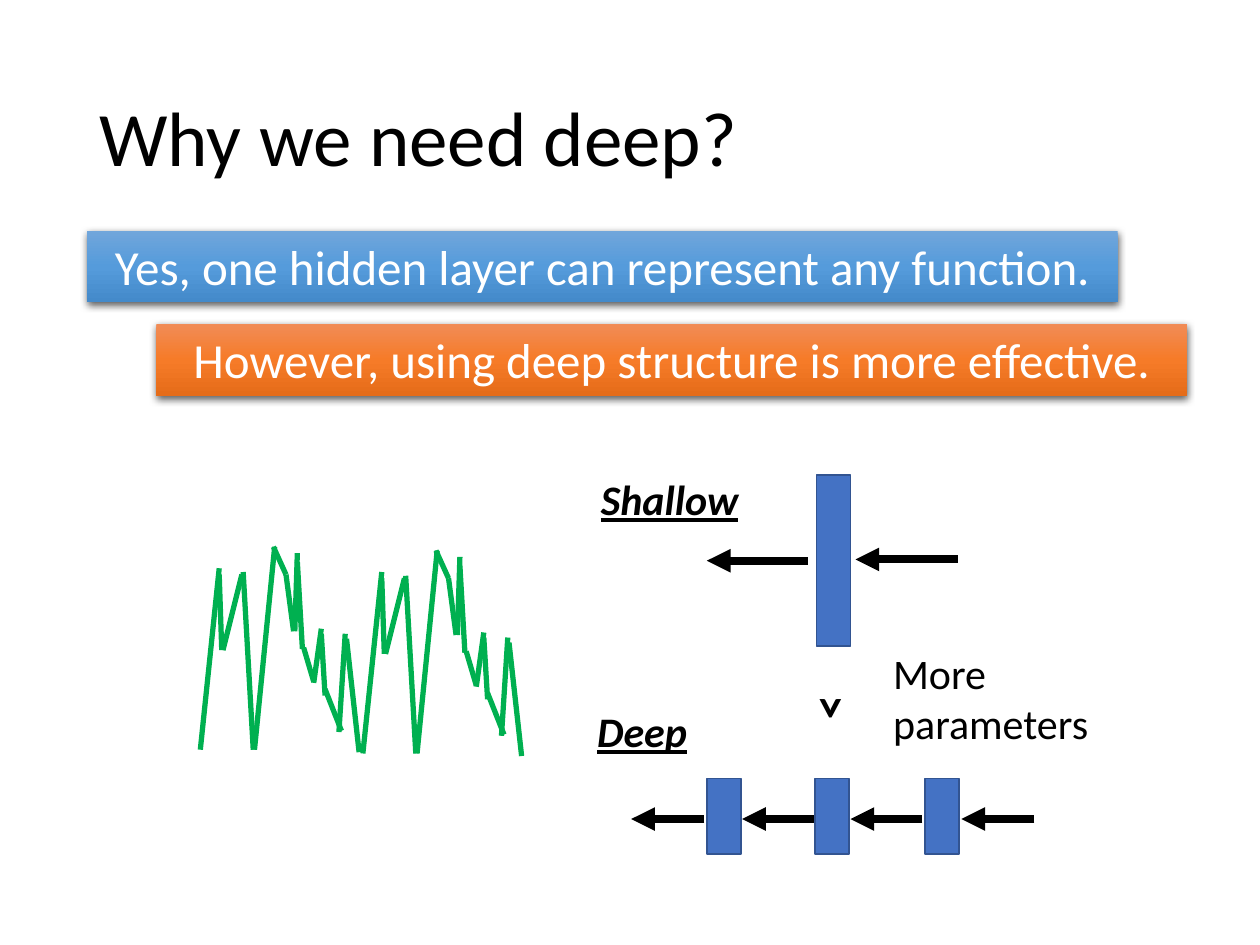
from copy import deepcopy
from typing import NamedTuple

from lxml.etree import SubElement
from pptx import Presentation
from pptx.dml.color import RGBColor
from pptx.enum.shapes import MSO_CONNECTOR, MSO_SHAPE
from pptx.enum.text import MSO_ANCHOR, PP_ALIGN
from pptx.oxml.ns import qn
from pptx.util import Inches, Pt

COLORS = {
    "text": "000000",
    "light": "FFFFFF",
    "layer": "4472C4",
    "layer_edge": "325491",
    "arrow": "000000",
    "wave": "00B050",
    "shadow": "000000",
}
BLUE_BAND = ("71A6DB", "559BDB", "448ACA")
ORANGE_BAND = ("F18C57", "F67B28", "E56C19")


class Area(NamedTuple):
    left: float
    top: float
    width: float
    height: float


class Segment(NamedTuple):
    x1: float
    y1: float
    x2: float
    y2: float


class Band(NamedTuple):
    area: Area
    text: str
    gradient: tuple[str, str, str]


BANDS = [
    Band(Area(0.69, 1.83, 8.18, 0.57),
         "Yes, one hidden layer can represent any function.", BLUE_BAND),
    Band(Area(1.24, 2.57, 8.18, 0.57),
         "However, using deep structure is more effective.", ORANGE_BAND),
]
LAYERS = [Area(6.48, 3.77, 0.27, 1.36)] + [
    Area(left, 6.18, 0.27, 0.6) for left in (5.61, 6.47, 7.34)
]
ARROWS = [Segment(6.41, 4.45, 5.61, 4.45), Segment(7.6, 4.44, 6.79, 4.44)] + [
    Segment(start, 6.5, end, 6.5)
    for start, end in ((5.59, 5.01), (6.46, 5.89), (7.32, 6.75), (8.21, 7.63))
]
WAVE = [
    Segment(1.59, 5.95, 1.74, 4.51),
    Segment(1.76, 5.16, 1.74, 4.56),
    Segment(1.77, 5.16, 1.92, 4.56),
    Segment(2.01, 5.95, 1.93, 4.54),
    Segment(2.02, 5.95, 2.18, 4.34),
    Segment(2.27, 4.56, 2.17, 4.34),
    Segment(2.33, 5.01, 2.27, 4.56),
    Segment(2.34, 5.01, 2.36, 4.39),
    Segment(2.4, 5.15, 2.36, 4.46),
    Segment(2.49, 5.41, 2.41, 5.14),
    Segment(2.55, 4.99, 2.49, 5.42),
    Segment(2.55, 5.03, 2.58, 5.52),
    Segment(2.58, 5.47, 2.71, 5.8),
    Segment(2.69, 5.81, 2.74, 5.03),
    Segment(2.85, 5.97, 2.75, 5.07),
]
WAVE_OFFSETS = [(0, 0), (1.29, 0.03)]


def color(name: str) -> RGBColor:
    return RGBColor.from_string(COLORS[name])


def place(area: Area) -> list[Inches]:
    return [Inches(value) for value in area]


def write(box, text: str, *, size: float, ink: str = "text", bold: bool = False,
          italic: bool = False, underline: bool = False, align=PP_ALIGN.LEFT,
          anchor=MSO_ANCHOR.TOP, spacing: float = 1.0) -> None:
    frame = box.text_frame
    frame.word_wrap = True
    frame.vertical_anchor = anchor
    para = frame.paragraphs[0]
    para.alignment = align
    para.line_spacing = spacing
    span = para.add_run()
    span.text = text
    font = span.font
    font.name = "Calibri"
    font.size = Pt(size)
    font.bold, font.italic, font.underline = bold, italic, underline
    font.color.rgb = color(ink)


def add_text(page, area: Area, text: str, *, rotation: float = 0, **style) -> None:
    box = page.shapes.add_textbox(*place(area))
    box.rotation = rotation
    write(box, text, **style)


def add_line(page, segment: Segment, *, ink: str, width: float,
             arrow: bool = False) -> None:
    line = page.shapes.add_connector(
        MSO_CONNECTOR.STRAIGHT, *[Inches(value) for value in segment])
    line.line.color.rgb = color(ink)
    line.line.width = Pt(width)
    properties = line._element.spPr
    if arrow:
        SubElement(properties.find(qn("a:ln")), qn("a:tailEnd"), type="triangle")
    SubElement(properties, qn("a:effectLst"))


def add_layer(page, area: Area) -> None:
    layer = page.shapes.add_shape(MSO_SHAPE.RECTANGLE, *place(area))
    layer.shadow.inherit = False
    layer.fill.solid()
    layer.fill.fore_color.rgb = color("layer")
    layer.line.color.rgb = color("layer_edge")
    layer.line.width = Pt(1)


def fill_downward(shape, stops: tuple[str, str, str]) -> None:
    """Fill with a three-stop gradient running from top to bottom."""
    shape.fill.gradient()
    shape.fill.gradient_angle = 270
    first = shape._element.spPr.find(".//" + qn("a:gs"))
    first.addnext(deepcopy(first))
    for stop, position, value in zip(shape.fill.gradient_stops, (0, 0.5, 1), stops):
        stop.position = position
        stop.color.rgb = RGBColor.from_string(value)


def add_drop_shadow(shape) -> None:
    shape.shadow.inherit = False
    effects = shape._element.spPr.find(qn("a:effectLst"))
    shadow = SubElement(effects, qn("a:outerShdw"), blurRad=str(Pt(4.5)),
                        dist=str(Pt(1.5)), dir="5400000", algn="ctr", rotWithShape="0")
    tint = SubElement(shadow, qn("a:srgbClr"), val=COLORS["shadow"])
    SubElement(tint, qn("a:alpha"), val="63000")


def add_band(page, band: Band) -> None:
    shape = page.shapes.add_shape(MSO_SHAPE.RECTANGLE, *place(band.area))
    fill_downward(shape, band.gradient)
    shape.line.fill.background()
    add_drop_shadow(shape)
    write(shape, band.text, size=28, ink="light", align=PP_ALIGN.CENTER)


def main() -> None:
    deck = Presentation()
    deck.slide_width, deck.slide_height = Inches(10), Inches(7.5)
    page = deck.slides.add_slide(deck.slide_layouts[6])

    add_text(page, Area(0.69, 0.4, 8.62, 1.45), "Why we need deep?",
             size=44, anchor=MSO_ANCHOR.MIDDLE, spacing=0.9)
    for layer in LAYERS:
        add_layer(page, layer)
    for arrow in ARROWS:
        add_line(page, arrow, ink="arrow", width=4.5, arrow=True)

    heading = dict(size=24, bold=True, italic=True, underline=True)
    add_text(page, Area(4.67, 3.71, 1.46, 0.5), "Shallow", **heading)
    add_text(page, Area(4.64, 5.55, 1.19, 0.5), "Deep", **heading)
    add_text(page, Area(6.99, 5.09, 1.77, 0.91), "More parameters", size=24)

    for dx, dy in WAVE_OFFSETS:
        for x1, y1, x2, y2 in WAVE:
            add_line(page, Segment(x1 + dx, y1 + dy, x2 + dx, y2 + dy),
                     ink="wave", width=3)

    add_text(page, Area(6.26, 5.5, 0.72, 0.57), ">", rotation=90, size=28, bold=True)
    for band in BANDS:
        add_band(page, band)
    deck.save("out.pptx")


if __name__ == "__main__":
    main()
